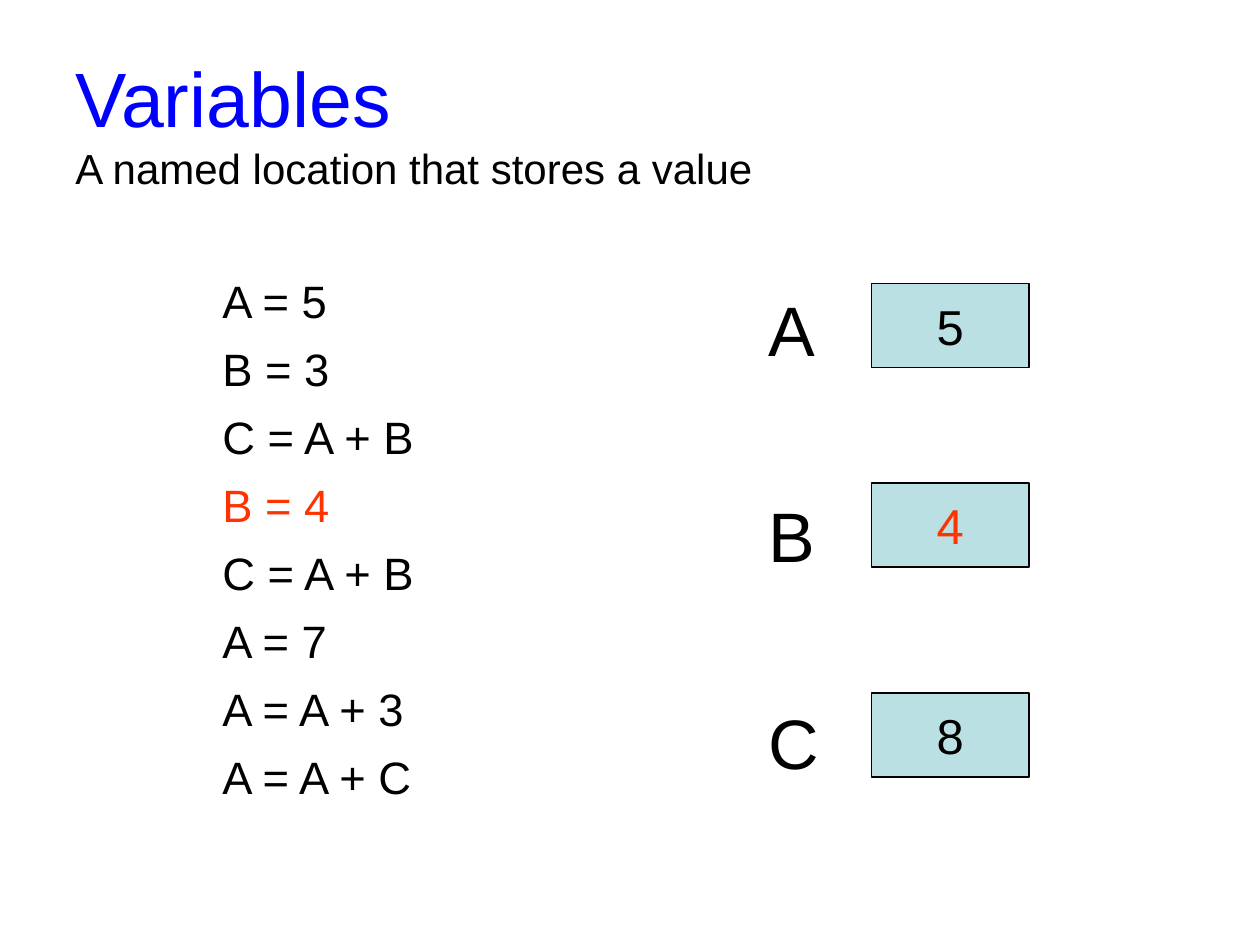
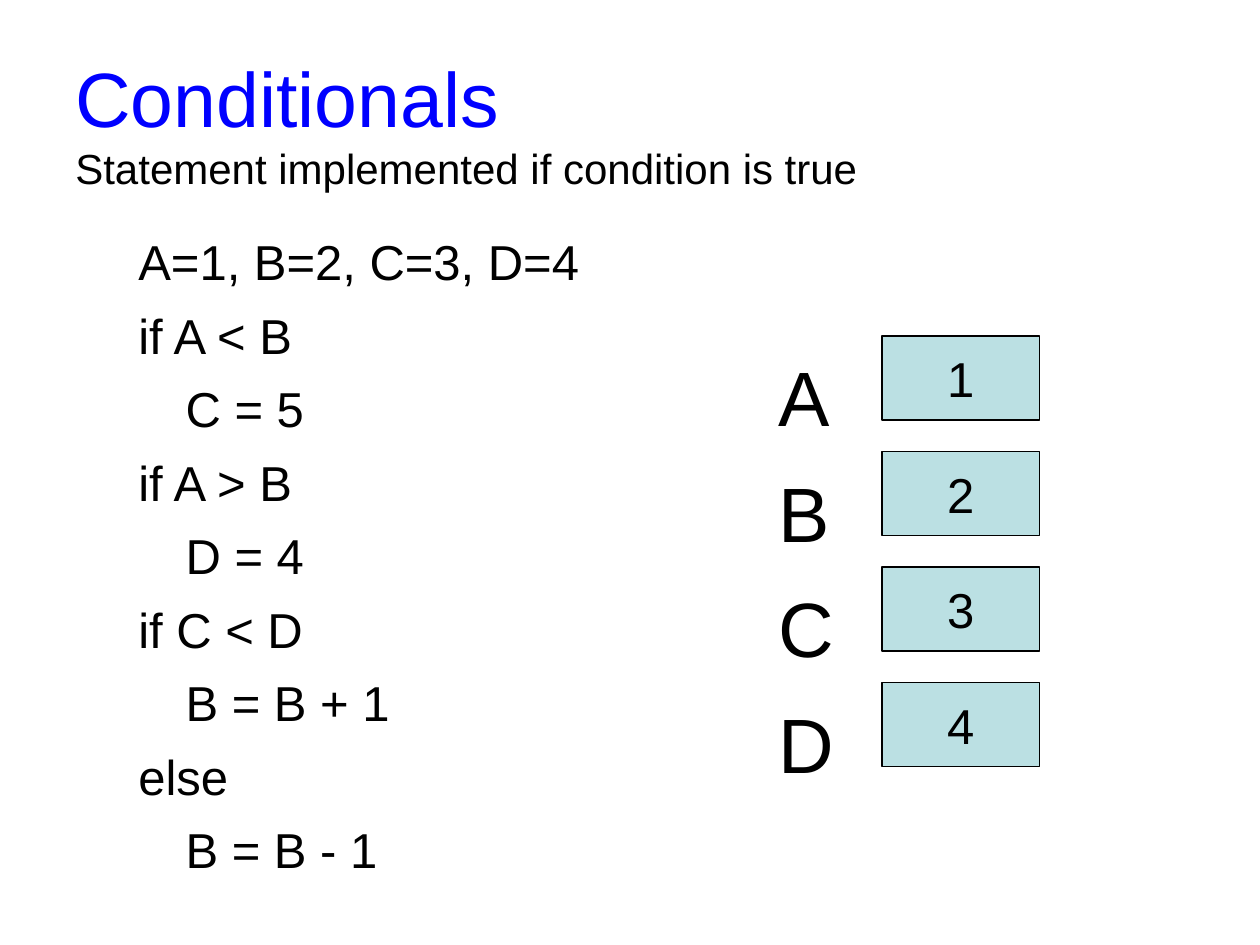
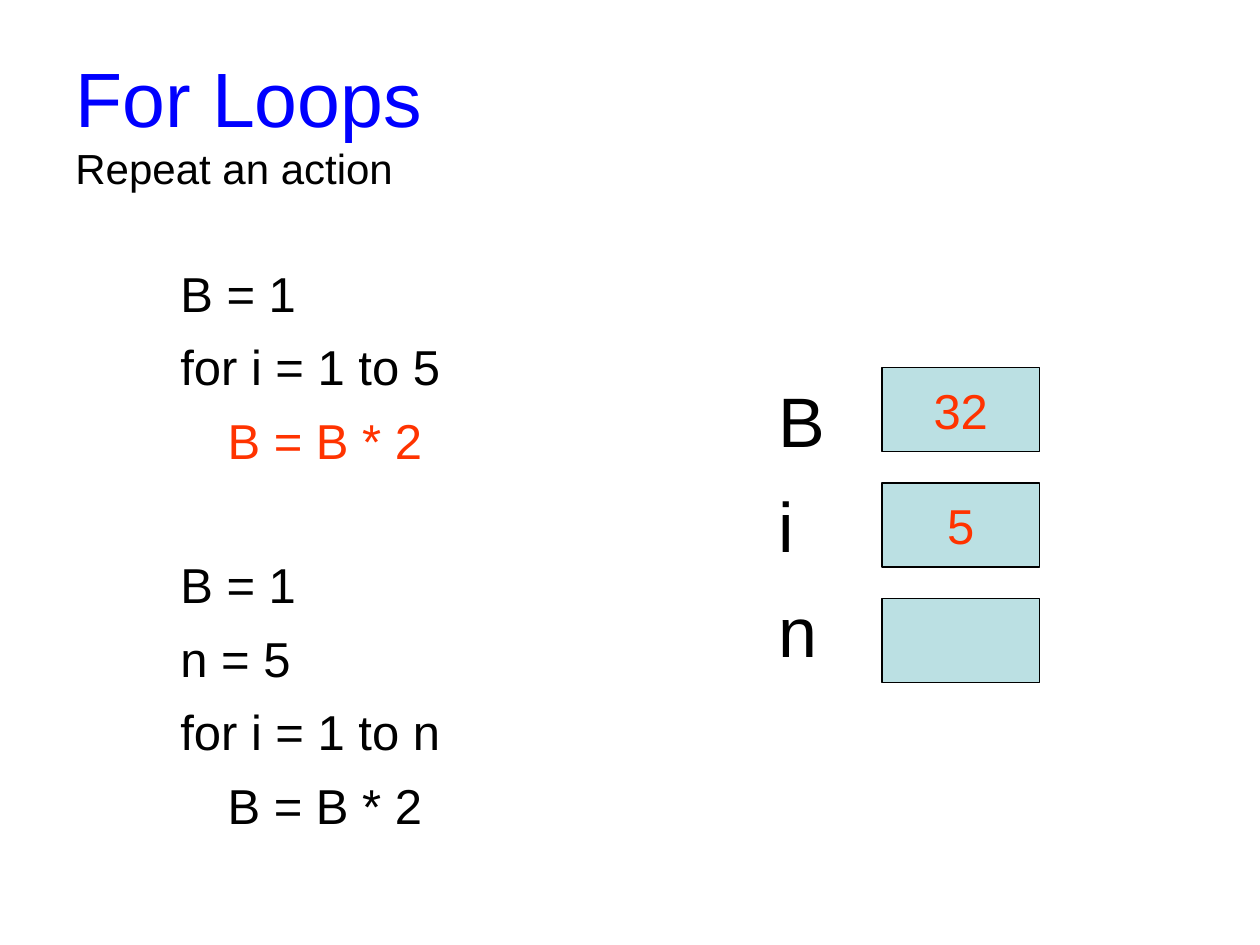
from dataclasses import dataclass

from pptx import Presentation
from pptx.dml.color import RGBColor as Rgb
from pptx.enum.shapes import MSO_SHAPE as Kind
from pptx.enum.text import MSO_ANCHOR as Anchor, PP_ALIGN as Align
from pptx.util import Pt


@dataclass(frozen=True)
class Theme:
    font: str = "Arial"
    blue: Rgb = Rgb(0x00, 0x00, 0xFF)
    black: Rgb = Rgb(0x00, 0x00, 0x00)
    red: Rgb = Rgb(0xFF, 0x33, 0x00)
    pale: Rgb = Rgb(0xBB, 0xE0, 0xE3)
    head: float = 44
    sub: float = 24
    code: float = 28
    cell: float = 28
    line: float = 1.15
    gap: float = 0.3
    drop: float = 0.1
    inset: float = 3.6
    tab: float = 27


THEME = Theme()
TITLE = (36, 21.6, 648, 90)
CELL = (90, 48)


def apply(item, form):
    for key, value in form.items():
        setattr(item, key, value)


def style(run, size, tint):
    apply(run.font, {"name": THEME.font, "size": Pt(size)})
    run.font.color.rgb = tint


def add_box(slide, box, **form):
    frame = slide.shapes.add_textbox(*map(Pt, box)).text_frame
    apply(frame, {"word_wrap": True, **form})
    return frame


def add_title(slide, box, head, sub):
    top = Pt(THEME.inset + 2 * THEME.drop * 28)
    frame = add_box(slide, box, vertical_anchor=Anchor.MIDDLE, margin_top=top)
    para = frame.paragraphs[0]
    run = para.add_run()
    run.text = head
    style(run, THEME.head, THEME.blue)
    para.add_line_break()
    run = para.add_run()
    run.text = sub
    style(run, THEME.sub, THEME.black)


def add_lines(slide, box, lines, size, left=0, skips=(), reds=()):
    frame = add_box(slide, box, margin_top=Pt(THEME.inset + THEME.drop * size))
    for spot, text in enumerate(lines):
        para = frame.add_paragraph() if spot else frame.paragraphs[0]
        depth = len(text) - len(text.lstrip("\t"))
        indent = left + depth * THEME.tab
        para._p.get_or_add_pPr().set("marL", str(Pt(indent)))
        if spot:
            skip = THEME.line + THEME.gap if spot in skips else 0
            para.space_before = Pt(round(size * (THEME.gap + skip), 2))
        run = para.add_run()
        run.text = text.strip()
        style(run, size, THEME.red if spot in reds else THEME.black)


def add_cells(slide, left, tops, values, reds=()):
    for spot, (top, value) in enumerate(zip(tops, values)):
        cell = slide.shapes.add_shape(
            Kind.RECTANGLE, *map(Pt, (left, top, *CELL)))
        cell.shadow.inherit = False
        cell.fill.solid()
        cell.fill.fore_color.rgb = THEME.pale
        cell.line.color.rgb = THEME.black
        cell.line.width = Pt(0.75)
        if not value:
            continue
        frame = cell.text_frame
        apply(frame, {"word_wrap": False, "vertical_anchor": Anchor.MIDDLE})
        para = frame.paragraphs[0]
        para.alignment = Align.CENTER
        run = para.add_run()
        run.text = value
        style(run, THEME.cell, THEME.red if spot in reds else THEME.black)


SLIDES = [
    {
        "title": ("Variables", "A named location that stores a value"),
        "code": {
            "box": (84, 150, 246, 312), "size": 25.9, "left": 36, "reds": (3,),
            "lines": ["A = 5", "B = 3", "C = A + B", "B = 4", "C = A + B",
                      "A = 7", "A = A + 3", "A = A + C"],
        },
        "names": {"box": (432, 156, 252, 294), "size": 40,
                  "lines": "ABC", "skips": (1, 2)},
        "cells": {"left": 498, "tops": (162, 276, 396),
                  "values": ("5", "4", "8"), "reds": (1,)},
    },
    {
        "title": ("Conditionals", "Statement implemented if condition is true"),
        "code": {
            "box": (72, 126, 294, 372), "size": THEME.code,
            "lines": ["A=1, B=2, C=3, D=4", "if A < B", "\tC = 5", "if A > B",
                      "\tD = 4", "if C < D", "\tB = B + 1", "else",
                      "\tB = B - 1"],
        },
        "names": {"box": (438, 192, 252, 294), "size": 44, "lines": "ABCD"},
        "cells": {"left": 504, "tops": range(192, 391, 66),
                  "values": ("1", "2", "3", "4")},
    },
    {
        "title": ("For Loops", "Repeat an action"),
        "code": {
            "box": (96, 144, 294, 372), "size": THEME.code,
            "skips": (3,), "reds": (2,),
            "lines": ["B = 1", "for i = 1 to 5", "\tB = B * 2", "B = 1",
                      "n = 5", "for i = 1 to n", "\tB = B * 2"],
        },
        "names": {"box": (438, 208, 252, 236), "size": 40, "lines": "Bin"},
        "cells": {"left": 504, "tops": range(210, 343, 66),
                  "values": ("32", "5", ""), "reds": (0, 1)},
    },
]


def main():
    deck = Presentation()
    apply(deck, {"slide_width": Pt(720), "slide_height": Pt(540)})
    for part in SLIDES:
        slide = deck.slides.add_slide(deck.slide_layouts[6])
        add_title(slide, TITLE, *part["title"])
        add_lines(slide, **part["code"])
        add_lines(slide, **part["names"])
        add_cells(slide, **part["cells"])
    deck.save("out.pptx")


if __name__ == "__main__":
    main()
